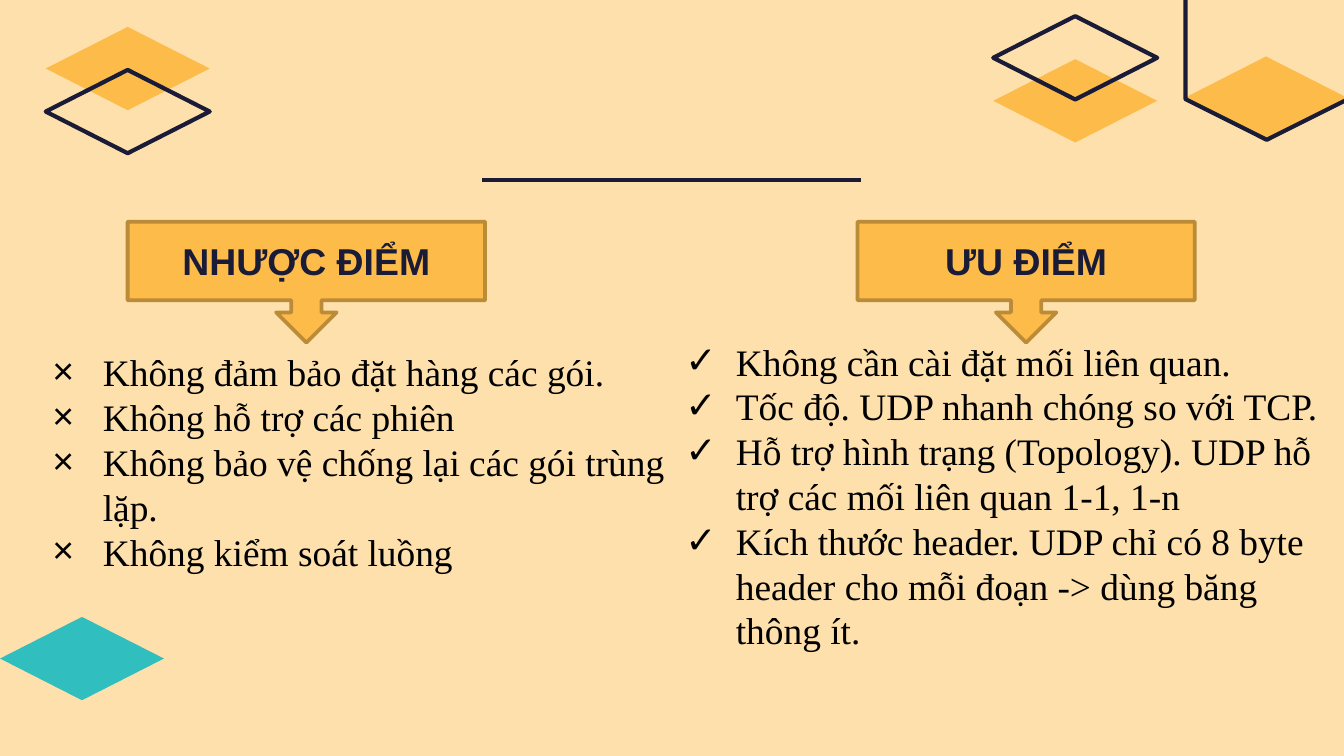
from pptx import Presentation
from pptx.dml.color import RGBColor
from pptx.enum.shapes import MSO_CONNECTOR as Link, MSO_SHAPE as Kind
from pptx.enum.text import MSO_ANCHOR as Anchor, MSO_AUTO_SIZE as Fit, PP_ALIGN as Align
from pptx.oxml.ns import qn
from pptx.util import Inches, Pt
from lxml.etree import SubElement as Sub

COLORS = {
    "sand": "FDE0AC", "gold": "FDBC4A", "bronze": "BB8B37",
    "navy": "1A1B36", "teal": "31BEBE", "black": "000000",
}


def rgb(name):
    return RGBColor.from_string(COLORS[name])


def write(para, text, font="Arial", size=20, color="navy", bold=False, align=Align.LEFT):
    para.alignment = align
    run = para.add_run()
    run.text = text
    run.font.name = font
    run.font.size = Pt(size)
    run.font.bold = bold
    run.font.color.rgb = rgb(color)


class Board:
    def __init__(self, slide):
        self.slide = slide
        self.body = "Times New Roman"
        self.indent = Pt(27)
        self.tile = (1.22, 0.62)
        back = slide.background.fill
        back.solid()
        back.fore_color.rgb = rgb("sand")

    def shape(self, kind, x, y, w, h, fill=None, line=None, width=2.25):
        item = self.slide.shapes.add_shape(kind, Inches(x), Inches(y), Inches(w), Inches(h))
        item.shadow.inherit = False
        if fill:
            item.fill.solid()
            item.fill.fore_color.rgb = rgb(fill)
        else:
            item.fill.background()
        if line:
            item.line.color.rgb = rgb(line)
            item.line.width = Pt(width)
            Sub(item.line._get_or_add_ln(), qn("a:round"))
        else:
            item.line.fill.background()
        return item

    def diamond(self, x, y, **look):
        return self.shape(Kind.DIAMOND, x, y, *self.tile, **look)

    def rule(self, x, y, end):
        line = self.slide.shapes.add_connector(
            Link.STRAIGHT, Inches(x), Inches(y), Inches(end), Inches(y))
        line.line.color.rgb = rgb("navy")
        line.line.width = Pt(2.25)
        Sub(line._element.spPr, qn("a:effectLst"))

    def callout(self, text, x, w):
        item = self.shape(Kind.DOWN_ARROW_CALLOUT, x, 1.65, w, 0.9, "gold", "bronze", 2)
        frame = item.text_frame
        frame.vertical_anchor = Anchor.MIDDLE
        write(frame.paragraphs[0], text, bold=True, align=Align.CENTER)

    def list(self, slot, lines, mark, x, y, h):
        box = self.slide.placeholders[slot]
        box.left, box.top, box.width, box.height = map(Inches, (x, y, 5, h))
        frame = box.text_frame
        frame.word_wrap = True
        frame.auto_size = Fit.NONE
        frame.vertical_anchor = Anchor.TOP
        for i, text in enumerate(lines):
            para = frame.add_paragraph() if i else frame.paragraphs[0]
            write(para, text, font=self.body, color="black")
            para.line_spacing = Pt(24)
            para.space_before = para.space_after = Pt(0)
            props = para._p.get_or_add_pPr()
            props.set("marL", str(self.indent))
            props.set("indent", str(-self.indent))
            Sub(Sub(props, qn("a:buClr")), qn("a:srgbClr"), val=COLORS["black"])
            Sub(props, qn("a:buFont"), typeface="Arial")
            Sub(props, qn("a:buChar"), char=mark)


deck = Presentation()
deck.slide_width = Inches(10)
deck.slide_height = deck.slide_width * 9 // 16
slide = deck.slides.add_slide(deck.slide_layouts[3])
title = slide.shapes.title._element
title.getparent().remove(title)
board = Board(slide)

board.diamond(0, 4.59, fill="teal")
board.rule(3.59, 1.34, 6.41)
board.diamond(8.81, 0.42, fill="gold")
hexagon = board.shape(Kind.HEXAGON, 8.34, -0.65, 2.17, 1.21, line="navy")
hexagon.rotation = 90
hexagon.adjustments[0] = 0.25

for x, solid, hollow in ((0.34, 0.2, 0.52), (7.39, 0.44, 0.12)):
    board.diamond(x, solid, fill="gold")
    board.diamond(x, hollow, line="navy")

cons = [
    "Không đảm bảo đặt hàng các gói.",
    "Không hỗ trợ các phiên",
    "Không bảo vệ chống lại các gói trùng lặp.",
    "Không kiểm soát luồng",
]
pros = [
    "Không cần cài đặt mối liên quan.",
    "Tốc độ. UDP nhanh chóng so với TCP.",
    "Hỗ trợ hình trạng (Topology). UDP hỗ trợ các mối liên quan 1-1, 1-n",
    "Kích thước header. UDP chỉ có 8 byte header cho mỗi đoạn -> dùng băng thông ít.",
]
board.list(1, cons, "×", 0.29, 2.55, 1.78)
board.list(2, pros, "✓", 5, 2.47, 2.46)
board.callout("NHƯỢC ĐIỂM", 0.95, 2.66)
board.callout("ƯU ĐIỂM", 6.38, 2.51)

deck.save("out.pptx")
